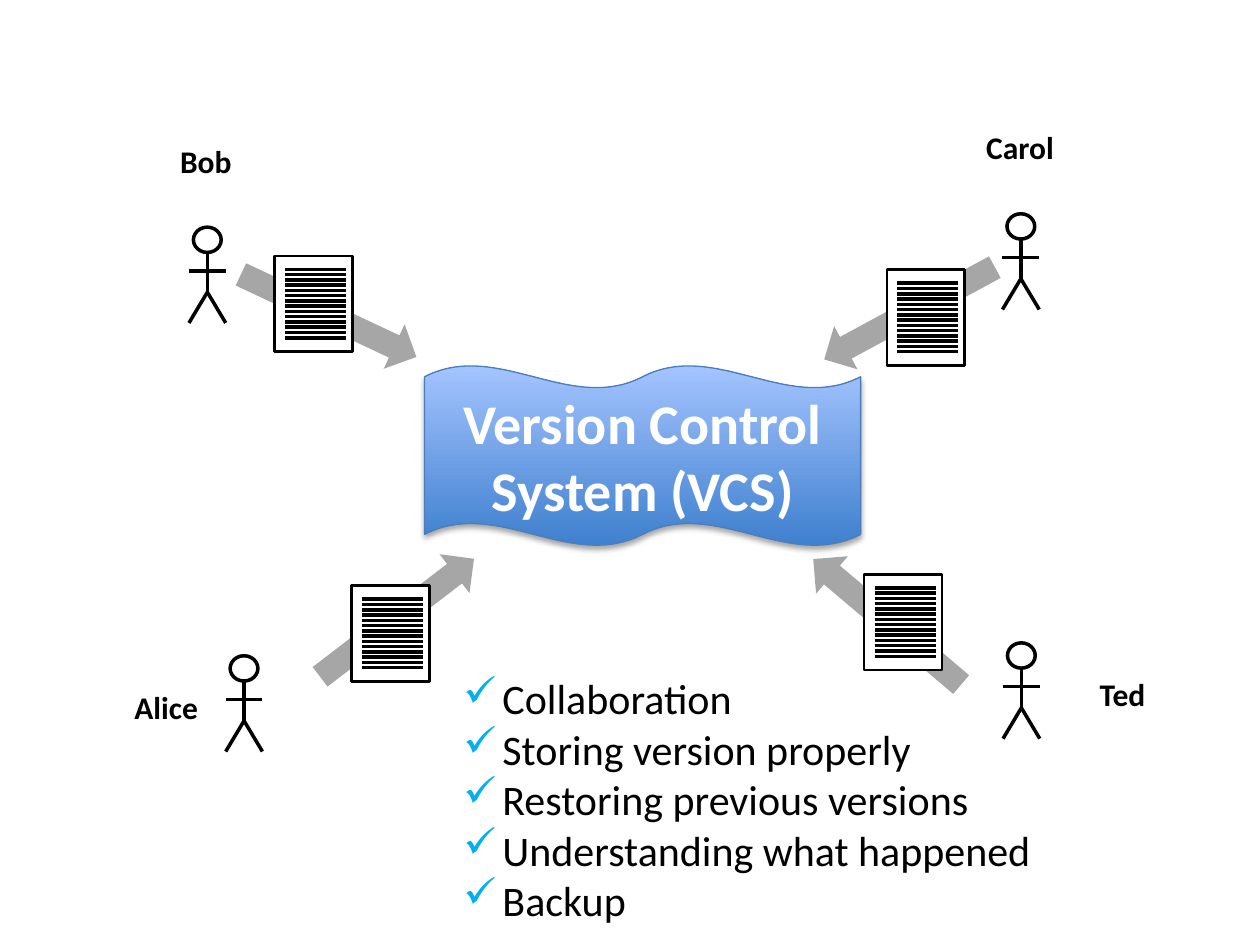
from lxml.etree import SubElement
from pptx import Presentation
from pptx.dml.color import RGBColor
from pptx.enum.shapes import MSO_CONNECTOR, MSO_SHAPE as SHAPE
from pptx.enum.text import MSO_ANCHOR, MSO_AUTO_SIZE, PP_ALIGN
from pptx.oxml.ns import qn
from pptx.util import Cm, Pt

COLORS = {
    "ink": "000000", "paper": "FFFFFF", "arrow": "A6A6A6", "check": "00B0F0",
    "wave_bottom": "3F80CE", "wave_top": "A4C4FF", "wave_edge": "4B7EBC",
}

# name, label box (left, top, width), head (centre, top),
# arrow (left, top, rotation), document (left, top)
USERS = [
    ("Bob", (3.38, 2.74, 1.55), (4.18, 4.58), (4.67, 5.87, 25.2), (5.54, 5.16)),
    ("Carol", (19.63, 2.46, 1.88), (20.58, 4.31), (16.38, 5.82, 151.6), (17.88, 5.44)),
    ("Ted", (21.92, 13.49, 1.45), (20.59, 12.96), (15.93, 12.04, 220.3), (17.42, 11.58)),
    ("Alice", (2.46, 13.74, 1.8), (4.92, 13.22), (6.05, 11.96, 322.5), (7.09, 11.81)),
]

BENEFITS = [
    "Collaboration",
    "Storing version properly",
    "Restoring previous versions",
    "Understanding what happened",
    "Backup",
]


def rgb(name):
    return RGBColor.from_string(COLORS[name])


class Sketch:
    """Draws the elements of one slide in a common style."""

    font = "Calibri"
    stroke = 2

    def __init__(self, slide):
        self.shapes = slide.shapes

    def shape(self, parent, kind, box, fill=None, line=None, width=stroke):
        sp = parent.add_shape(kind, *map(Cm, box))
        sp.shadow.inherit = False
        if fill:
            sp.fill.solid()
            sp.fill.fore_color.rgb = rgb(fill)
        else:
            sp.fill.background()
        if line:
            sp.line.color.rgb = rgb(line)
            sp.line.width = Pt(width)
        else:
            sp.line.fill.background()
        return sp

    def line(self, parent, *ends):
        cxn = parent.add_connector(MSO_CONNECTOR.STRAIGHT, *map(Cm, ends))
        cxn.line.color.rgb = rgb("ink")
        cxn.line.width = Pt(self.stroke)
        SubElement(cxn._element.spPr, qn("a:effectLst"))

    def style(self, p, size, color="ink", bold=False):
        for r in p.runs:
            r.font.name = self.font
            r.font.size = Pt(size)
            r.font.bold = bold
            r.font.color.rgb = rgb(color)

    def text(self, box, lines, size, bold=False):
        tf = self.shapes.add_textbox(*map(Cm, box)).text_frame
        tf.word_wrap = False
        tf.auto_size = MSO_AUTO_SIZE.SHAPE_TO_FIT_TEXT
        tf.text = "\n".join(lines)
        for p in tf.paragraphs:
            self.style(p, size, bold=bold)
        return tf

    def person(self, x, y):
        g = self.shapes.add_group_shape().shapes
        neck, arms, hip, foot, reach = y + 0.52, y + 0.88, y + 1.31, y + 1.93, 0.37
        self.shape(g, SHAPE.OVAL, (x - 0.28, y, 0.56, 0.51), line="ink")
        self.line(g, x, neck, x, hip)
        self.line(g, x, hip, x + reach, foot)
        self.line(g, x, hip, x - reach, foot)
        self.line(g, x - reach, arms, x + reach, arms)

    def document(self, x, y, rows=14):
        g = self.shapes.add_group_shape().shapes
        self.shape(g, SHAPE.RECTANGLE, (x, y, 1.57, 1.93), "paper", "ink", 1.5)
        for i in range(rows):
            row = y + 0.27 + 1.38 * i / (rows - 1)
            self.line(g, x + 0.21, row, x + 1.44, row)

    def arrow(self, x, y, rotation):
        sp = self.shape(self.shapes, SHAPE.RIGHT_ARROW, (x, y, 3.91, 0.99), "arrow")
        sp.rotation = rotation

    def wave(self, box, text):
        sp = self.shape(self.shapes, SHAPE.DOUBLE_WAVE, box, line="wave_edge", width=0.75)
        sp.fill.gradient()
        sp.fill.gradient_angle = 90
        for stop, name in zip(sp.fill.gradient_stops, ("wave_bottom", "wave_top")):
            stop.color.rgb = rgb(name)
        self.drop_shadow(sp)
        tf = sp.text_frame
        tf.word_wrap = True
        tf.vertical_anchor = MSO_ANCHOR.MIDDLE
        tf.text = text
        p = tf.paragraphs[0]
        p.alignment = PP_ALIGN.CENTER
        self.style(p, 32, "paper", bold=True)

    def drop_shadow(self, sp):
        effects = sp._element.spPr.find(qn("a:effectLst"))
        shadow = SubElement(effects, qn("a:outerShdw"), blurRad=str(Pt(3.1)),
                            dist=str(Pt(1.8)), dir="5400000", rotWithShape="0")
        color = SubElement(shadow, qn("a:srgbClr"), val=COLORS["ink"])
        SubElement(color, qn("a:alpha"), val="35000")

    def checklist(self, box, items):
        indent = Cm(0.79)
        for p in self.text(box, items, 24).paragraphs:
            pPr = p._p.get_or_add_pPr()
            pPr.set("marL", str(indent))
            pPr.set("indent", str(-indent))
            color = SubElement(pPr, qn("a:buClr"))
            SubElement(color, qn("a:srgbClr"), val=COLORS["check"])
            SubElement(pPr, qn("a:buChar"), char="✓")


def main():
    prs = Presentation()
    prs.slide_width, prs.slide_height = Cm(25.4), Cm(19.05)
    s = Sketch(prs.slides.add_slide(prs.slide_layouts[6]))
    for name, label, head, arrow, document in USERS:
        s.person(*head)
        s.text((*label, 1.02), [name], 18, bold=True)
        s.arrow(*arrow)
        s.document(*document)
    s.wave((8.56, 7.37, 8.79, 3.63), "Version Control System (VCS)")
    s.checklist((9.09, 13.44, 12.07, 5.38), BENEFITS)
    prs.save("out.pptx")


if __name__ == "__main__":
    main()
